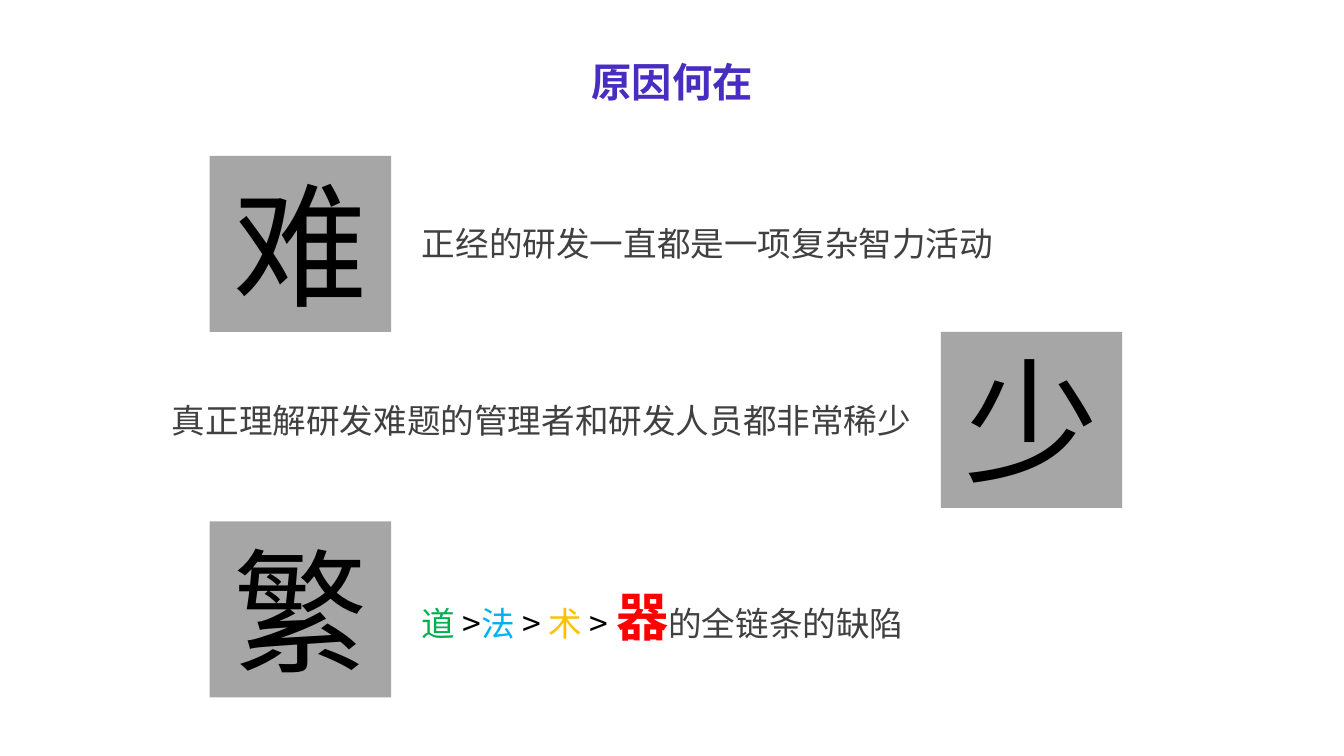
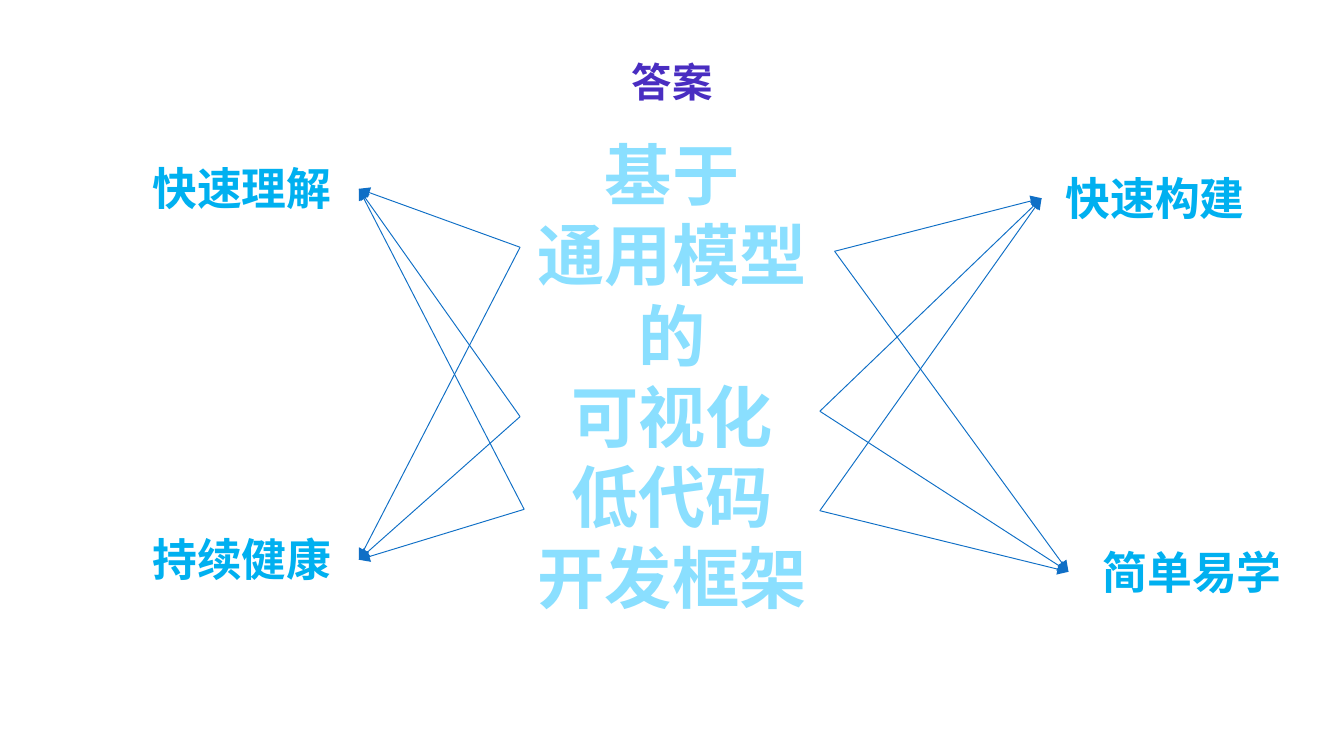
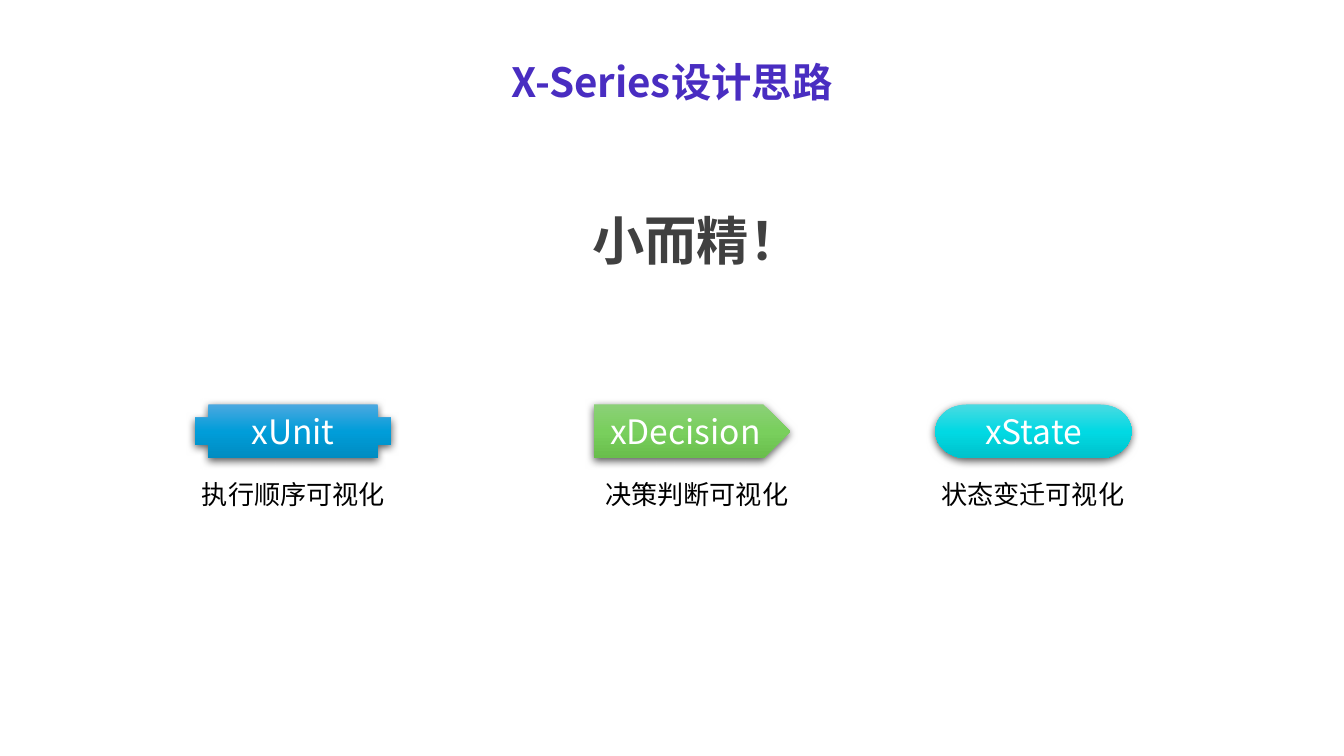
from itertools import product

from lxml import etree
from pptx import Presentation
from pptx import util as u
from pptx.dml.color import RGBColor
from pptx.enum import shapes, text
from pptx.oxml import ns

FONT = "Noto Sans CJK SC"
PURPLE, SKY, PALE_SKY, BLUE = "492DC1", "00B0F0", "8ADFFF", "0F6FC6"
INK, DARK, GREY, WHITE = "000000", "404040", "A6A6A6", "FFFFFF"
TITLE_BOX = (0.69, 0.3, 8.62, 0.43)
CENTER, LEFT = text.PP_ALIGN.CENTER, text.PP_ALIGN.LEFT


def rgb(value):
    return RGBColor.from_string(value)


def inches(box):
    return [u.Inches(length) for length in box]


def add_child(parent, tag, **attributes):
    return etree.SubElement(parent, ns.qn(tag), attributes)


def add_color(parent, color):
    return add_child(parent, "a:srgbClr", val=color)


def add_run(paragraph, words, size, color, bold=False):
    run = paragraph.add_run()
    run.text = words
    run.font.size = u.Pt(size)
    run.font.bold = bold
    run.font.color.rgb = rgb(color)
    run.font.name = FONT
    add_child(run.font._element, "a:ea", typeface=FONT)
    return run


def outline_run(run, color, width):
    outline = etree.Element(ns.qn("a:ln"), w=str(u.Pt(width)))
    add_color(add_child(outline, "a:solidFill"), color)
    run.font._element.insert(0, outline)


def add_text(slide, box, runs, align=LEFT):
    frame = slide.shapes.add_textbox(*inches(box)).text_frame
    frame.word_wrap = True
    frame.auto_size = text.MSO_AUTO_SIZE.SHAPE_TO_FIT_TEXT
    paragraph = frame.paragraphs[0]
    paragraph.alignment = align
    for run in runs:
        add_run(paragraph, *run)
    return frame


def add_titled_slide(deck, heading):
    slide = deck.slides.add_slide(deck.slide_layouts[5])
    title = slide.shapes.title
    title.left, title.top, title.width, title.height = inches(TITLE_BOX)
    title.text_frame.vertical_anchor = text.MSO_ANCHOR.MIDDLE
    paragraph = title.text_frame.paragraphs[0]
    paragraph.alignment = CENTER
    paragraph.line_spacing = 1.5
    add_run(paragraph, heading, 21.6, PURPLE, True)
    return slide


def add_keyword(slide, left, top, character):
    square = slide.shapes.add_shape(
        shapes.MSO_SHAPE.RECTANGLE, *inches((left, top, 1.35, 1.31)))
    square.shadow.inherit = False
    square.fill.solid()
    square.fill.fore_color.rgb = rgb(GREY)
    square.line.fill.background()
    frame = square.text_frame
    frame.vertical_anchor = text.MSO_ANCHOR.TOP
    frame.paragraphs[0].alignment = CENTER
    add_run(frame.paragraphs[0], character, 72, INK)


def build_reasons(deck):
    slide = add_titled_slide(deck, "原因何在")
    chain = [
        ("道 ", 18, "00B050"), (">", 18, INK),
        ("法 ", 18, SKY), ("> ", 18, INK),
        ("术 ", 18, "FFC000"), ("> ", 18, INK),
        ("器", 28, "FF0000", True), ("的全链条的缺陷", 18, DARK),
    ]
    reasons = [
        ("难", 1.56, 1.16, (3.04, 1.61, 5.22, 0.4),
         [("正经的研发一直都是一项复杂智力活动", 18, DARK)]),
        ("少", 7, 2.47, (1.18, 2.93, 5.91, 0.4),
         [("真正理解研发难题的管理者和研发人员都非常稀少", 18, DARK)]),
        ("繁", 1.56, 3.88, (3.04, 4.3, 5, 0.57), chain),
    ]
    for character, left, top, reason_box, runs in reasons:
        add_keyword(slide, left, top, character)
        add_text(slide, reason_box, runs)


def add_arrow(slide, start, end):
    arrow = slide.shapes.add_connector(
        shapes.MSO_CONNECTOR.STRAIGHT, *inches(start + end))
    arrow.line.color.rgb = rgb(BLUE)
    arrow.line.width = u.Pt(0.5)
    properties = arrow._element.spPr
    add_child(properties.find(ns.qn("a:ln")), "a:tailEnd", type="triangle")
    add_child(properties, "a:effectLst")


def add_benefits(slide, origins, benefits, on_left):
    targets = []
    for benefit, box in benefits:
        left, top, width, height = box
        add_text(slide, box, [(benefit, 24, SKY, True)], CENTER)
        targets.append((left + width if on_left else left, top + height / 2))
    for origin, target in product(origins, targets):
        add_arrow(slide, origin, target)


def build_answer(deck):
    slide = add_titled_slide(deck, "答案")
    lines = ["基于", "通用模型", "的", "可视化", "低代码", "开发框架"]
    framework = add_text(slide, (3.44, 0.94, 3.12, 3.74), [], CENTER)
    for index, line in enumerate(lines):
        paragraph = framework.add_paragraph() if index else framework.paragraphs[0]
        paragraph.alignment = CENTER
        outline_run(add_run(paragraph, line, 36, PALE_SKY, True), "009DD9", 1.75)
    add_benefits(
        slide, [(3.87, 1.84), (3.87, 3.1), (3.9, 3.79)],
        [("快速理解", (0.93, 1.15, 1.74, 0.51)),
         ("持续健康", (0.93, 3.91, 1.74, 0.51))], True)
    add_benefits(
        slide, [(6.21, 1.87), (6.1, 3.06), (6.1, 3.8)],
        [("快速构建", (7.75, 1.22, 1.69, 0.51)),
         ("简单易学", (7.95, 4, 1.84, 0.51))], False)


def fill_gradient(properties, colors):
    gradient = add_child(properties, "a:gradFill", rotWithShape="1")
    stops = add_child(gradient, "a:gsLst")
    for index, color in enumerate(colors):
        add_color(add_child(stops, "a:gs", pos=str(index * 50000)), color)
    add_child(gradient, "a:lin", ang="5400000", scaled="0")


def drop_shadow(properties):
    shadow = add_child(
        properties.find(ns.qn("a:effectLst")), "a:outerShdw",
        blurRad=str(u.Pt(4.5)), dist=str(u.Pt(1.5)), dir="5400000",
        rotWithShape="0")
    add_child(add_color(shadow, INK), "a:alpha", val="63000")


def add_tool(slide, left, preset, tool, colors, caption_left, caption):
    badge = slide.shapes.add_shape(preset, *inches((left, 3.01, 1.46, 0.4)))
    properties = badge._element.spPr
    fill_gradient(properties, colors)
    badge.line.fill.background()
    badge.shadow.inherit = False
    drop_shadow(properties)
    frame = badge.text_frame
    frame.vertical_anchor = text.MSO_ANCHOR.MIDDLE
    frame.paragraphs[0].alignment = CENTER
    add_run(frame.paragraphs[0], tool, 18, WHITE)
    add_text(slide, (caption_left, 3.51, 2.15, 0.34), [(caption, 14, INK)], CENTER)


def build_design(deck):
    slide = add_titled_slide(deck, "X-Series设计思路")
    add_text(slide, (3.78, 1.5, 2.81, 0.57), [("小而精！", 28, DARK, True)], CENTER)
    preset = shapes.MSO_SHAPE
    tools = [
        (1.45, preset.CROSS, "xUnit", ("4BA8E0", "009DD9", "008CC1"),
         1.11, "执行顺序可视化"),
        (4.42, preset.PENTAGON, "xDecision", ("8BD077", "79CF5D", "69BE4C"),
         4.11, "决策判断可视化"),
        (6.96, preset.FLOWCHART_TERMINATOR, "xState", ("4BDAE2", "01D9E3", "00C2CB"),
         6.61, "状态变迁可视化"),
    ]
    for tool in tools:
        add_tool(slide, *tool)


def main():
    deck = Presentation()
    deck.slide_width = u.Inches(10)
    deck.slide_height = deck.slide_width * 9 // 16
    build_reasons(deck)
    build_answer(deck)
    build_design(deck)
    deck.save("out.pptx")


if __name__ == "__main__":
    main()
